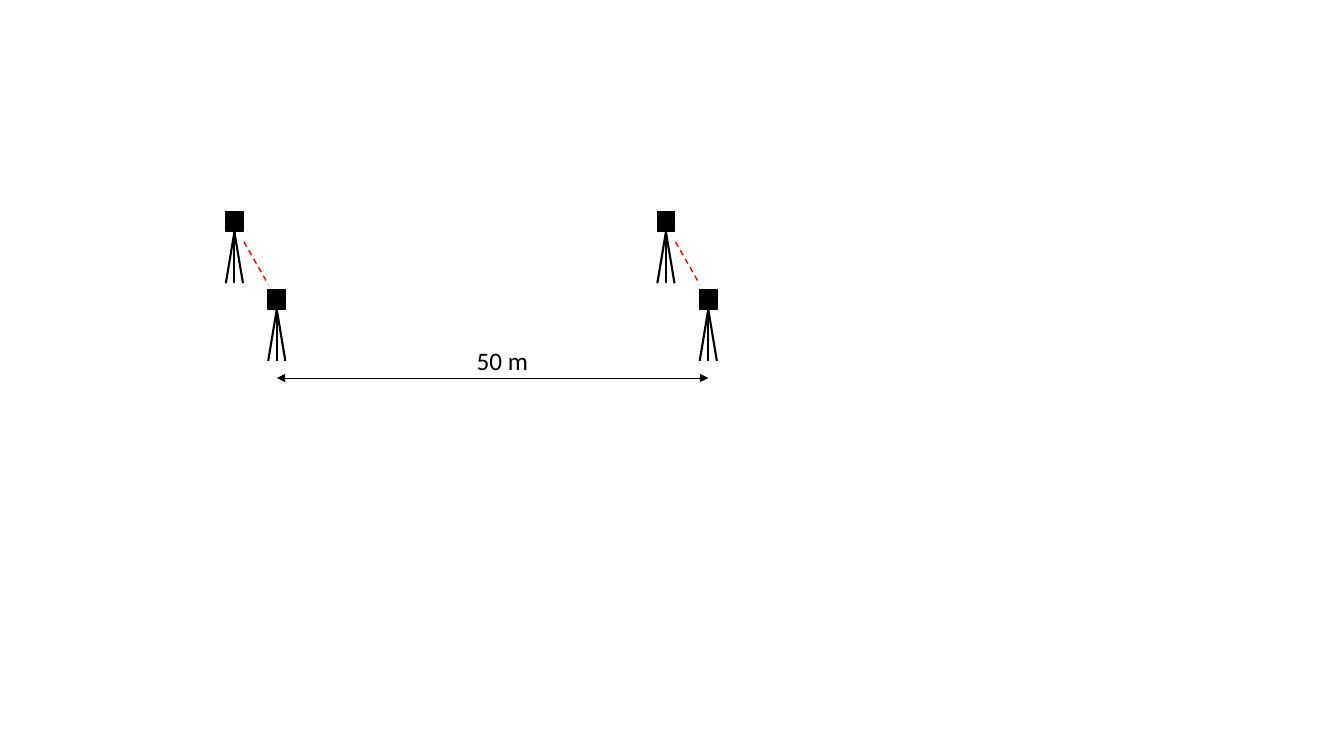
from dataclasses import dataclass

from lxml.etree import SubElement
from pptx import Presentation
from pptx.dml.color import RGBColor
from pptx.enum.dml import MSO_LINE
from pptx.enum.shapes import MSO_CONNECTOR, MSO_SHAPE
from pptx.enum.text import MSO_ANCHOR, MSO_AUTO_SIZE, PP_ALIGN
from pptx.oxml.ns import qn
from pptx.util import Inches, Pt


@dataclass(frozen=True)
class Theme:
    ink: RGBColor = RGBColor(0, 0, 0)
    sight: RGBColor = RGBColor(255, 0, 0)
    font: str = "Calibri"
    label_size: float = 18
    outline: float = 1
    leg: float = 1.5
    dimension: float = 0.5


HEAD_WIDTH, HEAD_HEIGHT = 0.17, 0.2
LEG_HEIGHT, LEG_SPREAD = 0.51, 0.085
FIRST_LEFT, FIRST_TOP = 2.24, 2.1
PAIR_DISTANCE = 4.28
NEAR_RIGHT, NEAR_DOWN = 0.42, 0.77
DIMENSION_TOP = 3.75


class SurveyPage:
    def __init__(self, page, theme):
        self.page = page
        self.theme = theme

    def line(self, start, end, color, width, shapes=None, dash=None, arrows=False):
        if shapes is None:
            shapes = self.page.shapes
        points = [Inches(value) for value in (*start, *end)]
        connector = shapes.add_connector(MSO_CONNECTOR.STRAIGHT, *points)
        connector.line.color.rgb = color
        connector.line.width = Pt(width)
        if dash is not None:
            connector.line.dash_style = dash
        if arrows:
            outline = connector.line._get_or_add_ln()
            for tag in ("a:headEnd", "a:tailEnd"):
                SubElement(outline, qn(tag), type="triangle")
        SubElement(connector._element.spPr, qn("a:effectLst"))
        return connector

    def tripod(self, left, top):
        """Draw a grouped instrument head with three legs from its lower side."""
        shapes = self.page.shapes.add_group_shape().shapes
        head = shapes.add_shape(
            MSO_SHAPE.RECTANGLE,
            *(Inches(value) for value in (left, top, HEAD_WIDTH, HEAD_HEIGHT)),
        )
        head.shadow.inherit = False
        head.fill.solid()
        head.fill.fore_color.rgb = self.theme.ink
        head.line.color.rgb = self.theme.ink
        head.line.width = Pt(self.theme.outline)
        center, joint = left + HEAD_WIDTH / 2, top + HEAD_HEIGHT
        for offset in (-LEG_SPREAD, LEG_SPREAD, 0):
            foot = (center + offset, joint + LEG_HEIGHT)
            leg = self.line((center, joint), foot, self.theme.ink, self.theme.leg, shapes)
            leg.begin_connect(head, 2)

    def sight_line(self, left, top):
        self.line((left + 0.18, top + 0.3), (left + NEAR_RIGHT, top + 0.72),
                  self.theme.sight, self.theme.outline, dash=MSO_LINE.DASH)

    def label(self, text, left, top, width, height):
        box = self.page.shapes.add_textbox(
            *(Inches(value) for value in (left, top, width, height)))
        frame = box.text_frame
        frame_format = {"word_wrap": False, "vertical_anchor": MSO_ANCHOR.TOP,
                        "auto_size": MSO_AUTO_SIZE.SHAPE_TO_FIT_TEXT}
        for name, value in frame_format.items():
            setattr(frame, name, value)
        para = frame.paragraphs[0]
        para.alignment = PP_ALIGN.LEFT
        span = para.add_run()
        span.text = text
        font_format = {"name": self.theme.font, "size": Pt(self.theme.label_size)}
        for name, value in font_format.items():
            setattr(span.font, name, value)
        span.font.color.rgb = self.theme.ink


def main():
    deck = Presentation()
    deck.slide_width, deck.slide_height = Inches(13.33), Inches(7.5)
    theme = Theme()
    survey = SurveyPage(deck.slides.add_slide(deck.slide_layouts[6]), theme)

    pair_lefts = [FIRST_LEFT + index * PAIR_DISTANCE for index in range(2)]
    for left in pair_lefts:
        survey.tripod(left, FIRST_TOP)
        survey.tripod(left + NEAR_RIGHT, FIRST_TOP + NEAR_DOWN)
    for left in pair_lefts:
        survey.sight_line(left, FIRST_TOP)

    start, end = (
        (left + NEAR_RIGHT + HEAD_WIDTH / 2, DIMENSION_TOP) for left in pair_lefts)
    survey.line(start, end, theme.ink, theme.dimension, arrows=True)
    survey.label("50 m", 4.63, 3.38, 0.72, 0.4)
    deck.save("out.pptx")


if __name__ == "__main__":
    main()
